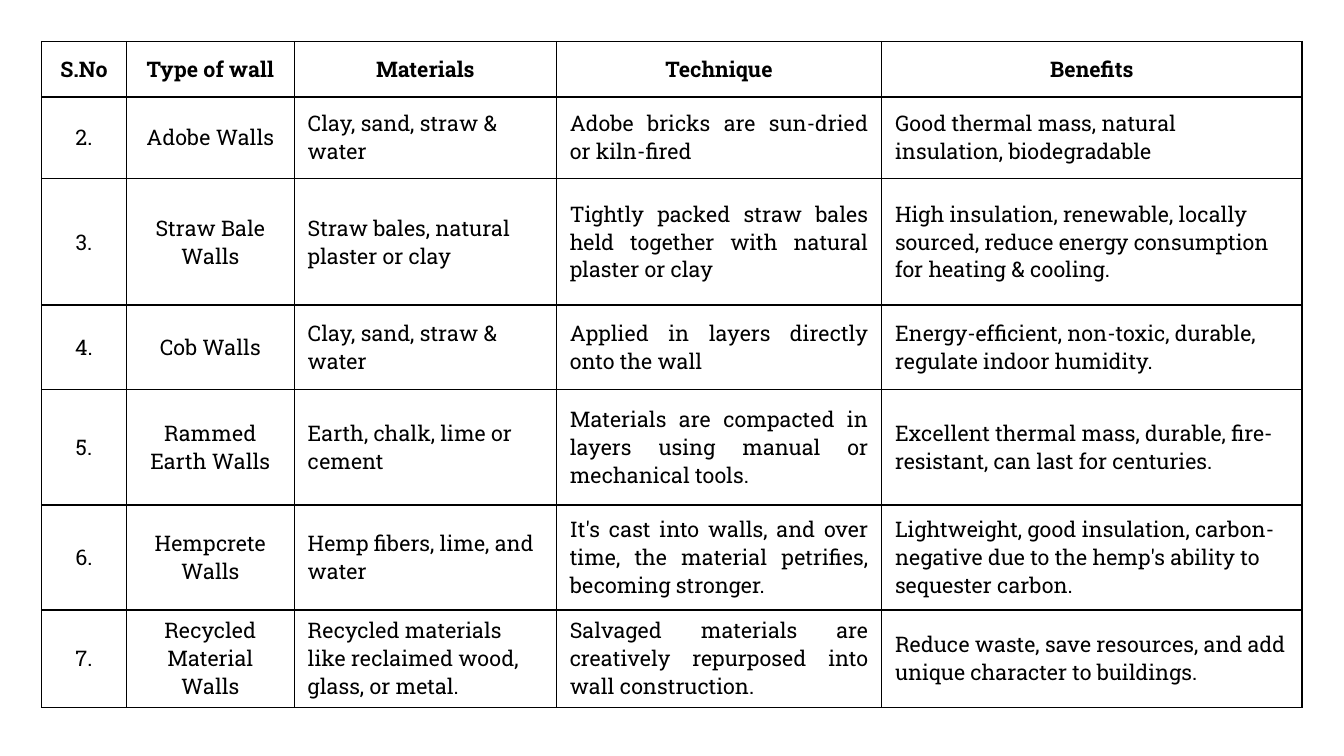
from lxml import etree
from pptx import Presentation
from pptx.dml.color import RGBColor
from pptx.enum.text import MSO_ANCHOR, PP_ALIGN
from pptx.oxml.ns import qn
from pptx.util import Inches, Pt

LEFT, CENTER, JUSTIFY = PP_ALIGN.LEFT, PP_ALIGN.CENTER, PP_ALIGN.JUSTIFY
MIDDLE = MSO_ANCHOR.MIDDLE
COLORS = {"text": "000000", "border": "000000", "background": "FFFFFF"}
BLANK_LAYOUT = 6

SLIDE_WIDTH = 10
SLIDE_HEIGHT = SLIDE_WIDTH * 9 / 16
COL_WIDTHS = [0.63, 1.25, 1.95, 2.42, 3.13]
ROW_HEIGHTS = [0.41, 0.61, 0.94, 0.63, 0.86, 0.78, 0.7]
COL_ALIGNS = [CENTER, CENTER, LEFT, JUSTIFY, LEFT]

HEADER = ["S.No", "Type of wall", "Materials", "Technique", "Benefits"]
WALLS = [
    ["2.", "Adobe Walls", "Clay, sand, straw & water",
     "Adobe bricks are sun-dried or kiln-fired",
     "Good thermal mass, natural insulation, biodegradable"],
    ["3.", "Straw Bale Walls", "Straw bales, natural plaster or clay",
     "Tightly packed straw bales held together with natural plaster or clay",
     "High insulation, renewable, locally sourced, reduce energy consumption "
     "for heating & cooling."],
    ["4.", "Cob Walls", "Clay, sand, straw & water",
     "Applied in layers directly onto the wall",
     "Energy-efficient, non-toxic, durable, regulate indoor humidity."],
    ["5.", "Rammed Earth Walls", "Earth, chalk, lime or cement",
     "Materials are compacted in layers using manual or mechanical tools.",
     "Excellent thermal mass, durable, fire-resistant, can last for centuries."],
    ["6.", "Hempcrete Walls", "Hemp fibers, lime, and water",
     "It's cast into walls, and over time, the material petrifies, "
     "becoming stronger.",
     "Lightweight, good insulation, carbon-negative due to the hemp's ability "
     "to sequester carbon."],
    ["7.", "Recycled Material Walls",
     "Recycled materials like reclaimed wood, glass, or metal.",
     "Salvaged materials are creatively repurposed into wall construction.",
     "Reduce waste, save resources, and add unique character to buildings."],
]


class SlideBuilder:
    font = "Roboto Slab"
    size = Pt(11.5)
    line_spacing = Pt(15)
    space_after = Pt(2)
    border_width = Pt(1)

    def __init__(self, prs):
        self.s = prs.slides.add_slide(prs.slide_layouts[BLANK_LAYOUT])
        fill = self.s.background.fill
        fill.solid()
        fill.fore_color.rgb = RGBColor.from_string(COLORS["background"])

    def table(self, x, y, col_widths, row_heights, rows, aligns):
        """Add a bordered table; all lengths are in inches."""
        frame = self.s.shapes.add_table(
            len(rows), len(col_widths), Inches(x), Inches(y),
            Inches(sum(col_widths)), Inches(sum(row_heights)))
        table = frame.table
        table.horz_banding = False
        for column, width in zip(table.columns, col_widths):
            column.width = Inches(width)
        for row, height in zip(table.rows, row_heights):
            row.height = Inches(height)
        for i, texts in enumerate(rows):
            for j, text in enumerate(texts):
                header = i == 0
                align = CENTER if header else aligns[j]
                self.cell(table.cell(i, j), text, align, header)

    def cell(self, cell, text, align, bold):
        cell.vertical_anchor = MIDDLE
        self.borders(cell)
        cell.fill.background()
        p = cell.text_frame.paragraphs[0]
        p.alignment = align
        p.line_spacing = self.line_spacing
        p.space_after = self.space_after
        r = p.add_run()
        r.text = text
        r.font.name = self.font
        r.font.size = self.size
        r.font.bold = bold
        r.font.color.rgb = RGBColor.from_string(COLORS["text"])

    def borders(self, cell):
        props = cell._tc.get_or_add_tcPr()
        for side in ("a:lnL", "a:lnR", "a:lnT", "a:lnB"):
            line = etree.SubElement(props, qn(side), w=str(self.border_width))
            fill = etree.SubElement(line, qn("a:solidFill"))
            etree.SubElement(fill, qn("a:srgbClr"), val=COLORS["border"])


def main():
    prs = Presentation()
    prs.slide_width = Inches(SLIDE_WIDTH)
    prs.slide_height = Inches(SLIDE_HEIGHT)

    # Comparison of wall types, with the same margin at the left and top
    margin = (SLIDE_WIDTH - sum(COL_WIDTHS)) / 2
    slide = SlideBuilder(prs)
    slide.table(margin, margin, COL_WIDTHS, ROW_HEIGHTS,
                [HEADER] + WALLS, COL_ALIGNS)

    prs.save("out.pptx")


if __name__ == "__main__":
    main()
